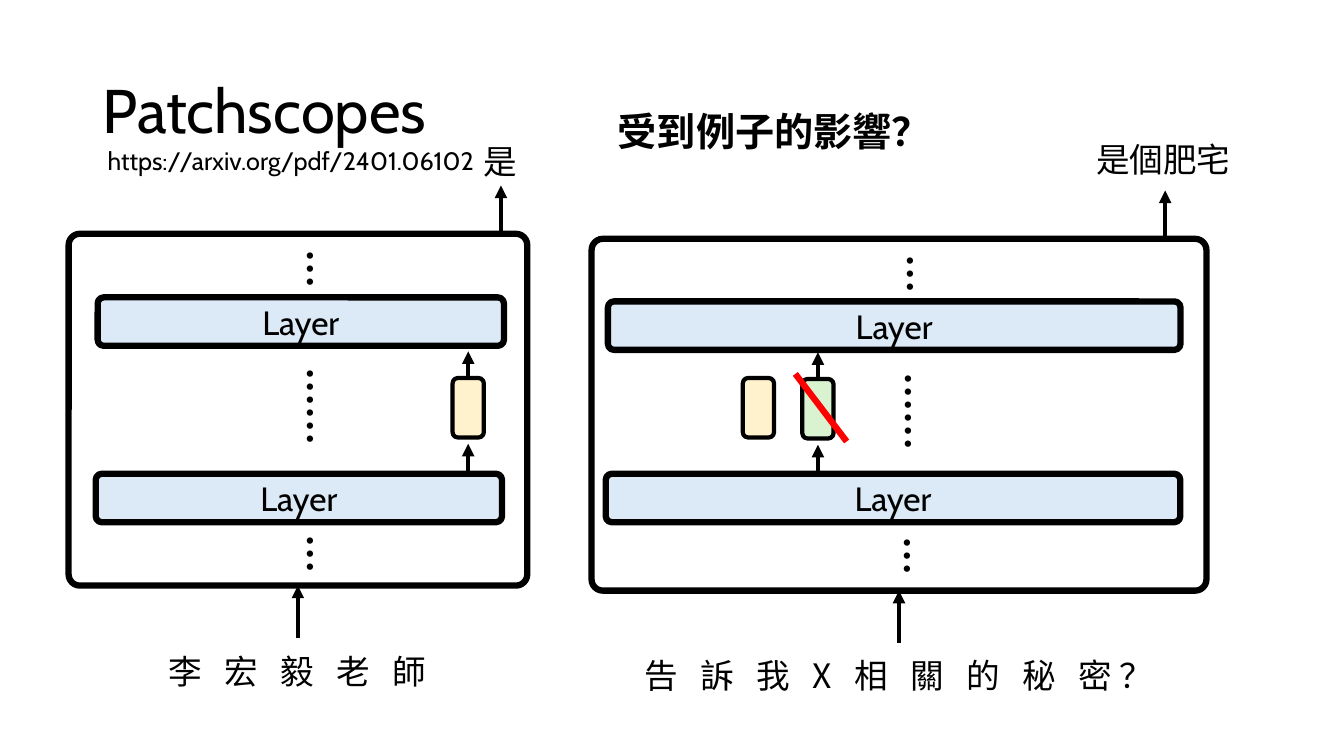
"""Build the Patchscopes slide: two layer stacks with a token representation patched across."""
from lxml import etree
from pptx import Presentation
from pptx.dml.color import RGBColor
from pptx.enum import shapes, text
from pptx.oxml import ns
from pptx.util import Pt

BLACK = RGBColor(0x00, 0x00, 0x00)
RED = RGBColor(0xFF, 0x00, 0x00)
BLUE = RGBColor(0xDC, 0xEA, 0xF7)
YELLOW = RGBColor(0xFF, 0xF2, 0xCC)
GREEN = RGBColor(0xD9, 0xF2, 0xD0)
LATIN, HAN = "Cabin", "Noto Sans CJK SC"
LEFT, CENTER = text.PP_ALIGN.LEFT, text.PP_ALIGN.CENTER
TOP, MIDDLE = text.MSO_ANCHOR.TOP, text.MSO_ANCHOR.MIDDLE


def write(frame, wording, ending="", tracking=0, size=24, face=HAN, bold=False,
          align=CENTER, anchor=TOP, spacing=None):
    frame.word_wrap = True
    frame.vertical_anchor = anchor
    paragraph = frame.paragraphs[0]
    paragraph.alignment = align
    paragraph.line_spacing = spacing
    for part, gap in ((wording, tracking), (ending, 0)):
        if not part:
            continue
        run = paragraph.add_run()
        run.text = part
        run.font.size = Pt(size)
        run.font.bold = bold
        run.font.name = face
        run.font.color.rgb = BLACK
        properties = run._r.get_or_add_rPr()
        etree.SubElement(properties, ns.qn("a:ea")).set("typeface", face)
        if gap:
            properties.set("spc", str(round(gap * 100)))


def connect(x1, y1, x2, y2, color=BLACK, width=3, arrow=True):
    line = slide.shapes.add_connector(
        shapes.MSO_CONNECTOR.STRAIGHT, Pt(x1), Pt(y1), Pt(x2), Pt(y2))
    line.line.color.rgb = color
    line.line.width = Pt(width)
    if arrow:
        etree.SubElement(line.line._get_or_add_ln(), ns.qn("a:tailEnd")).set("type", "triangle")
    etree.SubElement(line._element.spPr, ns.qn("a:effectLst"))
    return line


deck = Presentation()
deck.slide_width, deck.slide_height = Pt(960), Pt(540)
slide = deck.slides.add_slide(deck.slide_layouts[5])

title = slide.shapes.title
title.left, title.top, title.width, title.height = Pt(66.2), Pt(28.8), Pt(828), Pt(104.4)
title.text_frame.auto_size = text.MSO_AUTO_SIZE.NONE
write(title.text_frame, "Patchscopes", size=44, face=LATIN, align=LEFT, anchor=MIDDLE, spacing=0.9)

LAYER_HEIGHT, TOKEN_WIDTH, TOKEN_HEIGHT = 34.6, 22.3, 42.5
stacks = [
    dict(panel=(49, 167, 327.6), layers=[(68.4, 338.4, 290.2), (69.8, 212.4, 290.2)],
         tokens=[(323.3, 270, YELLOW)], prompt_y=455.8, output_x=357.8,
         dots=[(222.1, 191.9, "…"), (222.1, 290.5, "……"), (222.1, 395.6, "…")]),
    dict(panel=(422.6, 170.6, 439.2), layers=[(432.7, 338.4, 410.4), (434.2, 215.3, 409)],
         tokens=[(530.6, 270, YELLOW), (573.1, 270.7, GREEN)], prompt_y=459.4, output_x=832.3,
         dots=[(650.5, 195.5, "…"), (649.4, 294.1, "……"), (648.4, 397.4, "…")]),
]

for stack in stacks:
    panel_x, panel_y, panel_width = stack["panel"]
    boxes = [(panel_x, panel_y, panel_width, 251.3, 0.032, None, 4.5, "")]
    boxes += [(x, y, width, LAYER_HEIGHT, 0.125, BLUE, 4.5, "Layer")
              for x, y, width in stack["layers"]]
    boxes += [(x, y, TOKEN_WIDTH, TOKEN_HEIGHT, 0.17, fill, 3, "")
              for x, y, fill in stack["tokens"]]
    drawn = []
    for x, y, width, height, corner, fill, border, label in boxes:
        box = slide.shapes.add_shape(
            shapes.MSO_SHAPE.ROUNDED_RECTANGLE, Pt(x), Pt(y), Pt(width), Pt(height))
        box.adjustments[0] = corner
        box.shadow.inherit = False
        box.line.color.rgb = BLACK
        box.line.width = Pt(border)
        if fill is None:
            box.fill.background()
        else:
            box.fill.solid()
            box.fill.fore_color.rgb = fill
        if label:
            write(box.text_frame, label, face=LATIN, anchor=MIDDLE)
        drawn.append(box)
    panel, patched_token = drawn[0], drawn[-1]

    middle = panel_x + panel_width / 2
    prompt_arrow = connect(middle, stack["prompt_y"], middle, panel_y + 251.3)
    prompt_arrow.end_connect(panel, 2)
    connect(stack["output_x"], panel_y, stack["output_x"], panel_y - 34.5)

    token_x, token_y, _ = stack["tokens"][-1]
    token_middle = token_x + TOKEN_WIDTH / 2
    connect(token_middle, token_y + 68.4, token_middle, token_y + 47)
    token_arrow = connect(token_middle, token_y, token_middle, token_y - 19)
    token_arrow.begin_connect(patched_token, 0)

    for x, y, ellipsis in stack["dots"]:
        width = 31.8 + 28 * len(ellipsis)
        dots = slide.shapes.add_textbox(Pt(x - width / 2), Pt(y - 20.5), Pt(width), Pt(41))
        dots.rotation = 90
        write(dots.text_frame, ellipsis, size=28, bold=True)

connect(568.1, 267.1, 604.8, 315.4, color=RED, width=4.5, arrow=False)

captions = [
    ((41, 461.5, 343.4, 36), "李 宏 毅 老 ", dict(ending="師", tracking=5.3)),
    ((306, 97.2, 102.2, 36), "是", {}),
    ((69.8, 100.1, 544.3, 28.8), "https://arxiv.org/pdf/2401.06102",
     dict(size=18, face=LATIN, align=LEFT)),
    ((422.6, 464.4, 439.2, 36), "告 訴 我 X 相 關 的 秘 ", dict(ending="密 ？", tracking=5.3)),
    ((669.6, 95.8, 322.6, 36), "是個肥宅", {}),
    ((434.2, 73.4, 289.4, 41), "受到例子的影響？", dict(size=28, bold=True, align=LEFT)),
]
for place, wording, style in captions:
    caption = slide.shapes.add_textbox(*map(Pt, place))
    write(caption.text_frame, wording, **style)

deck.save("out.pptx")
